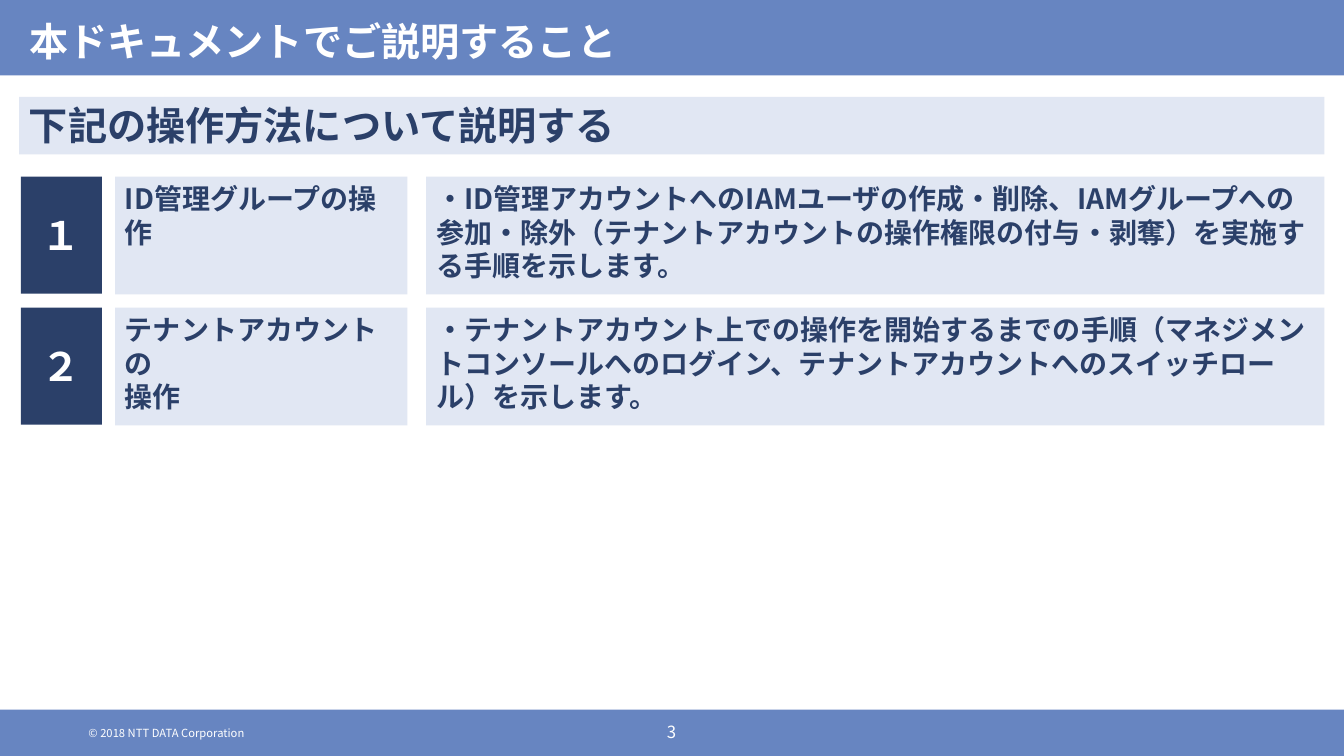
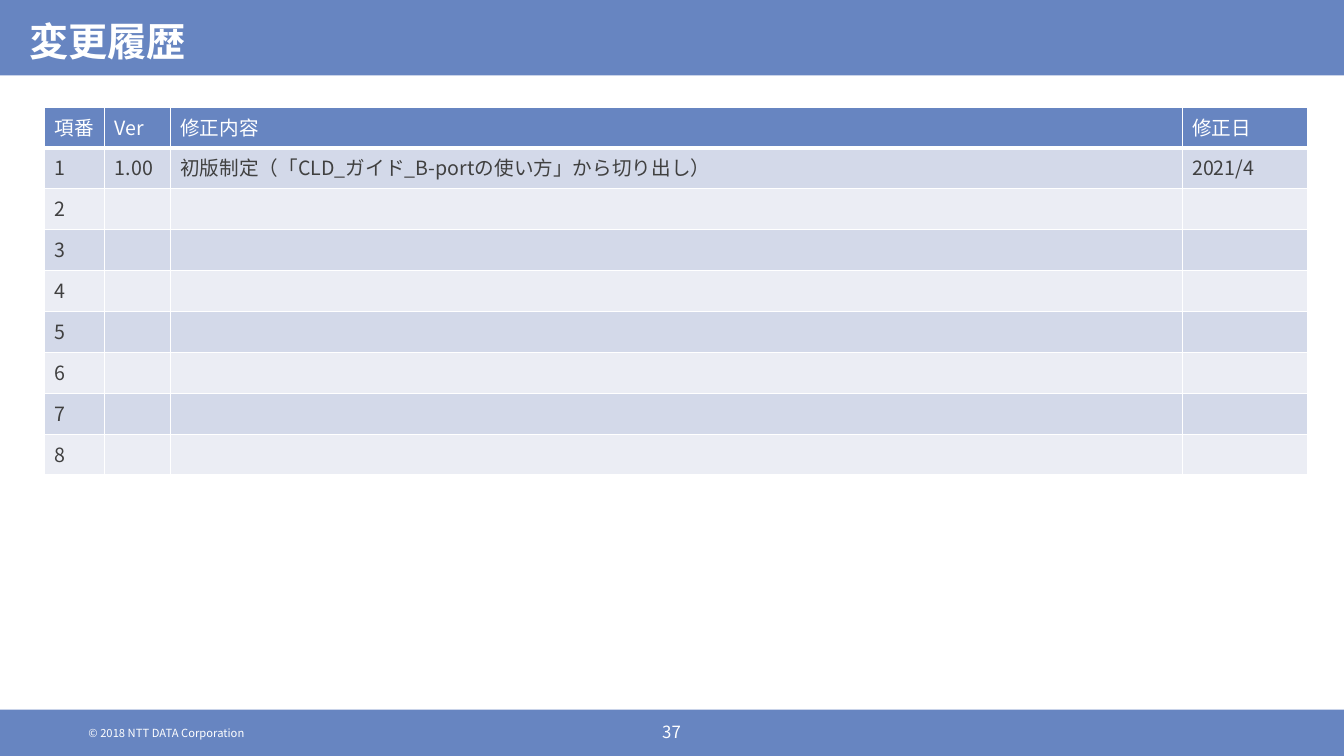
from lxml.etree import SubElement
from pptx import Presentation
from pptx.dml.color import RGBColor
from pptx.enum.shapes import MSO_SHAPE
from pptx.enum.text import MSO_ANCHOR, MSO_AUTO_SIZE, PP_ALIGN
from pptx.oxml.ns import qn
from pptx.util import Cm, Pt

FONT = "Noto Sans CJK JP"
COLORS = {
    "band": "6785C1",
    "navy": "2B4069",
    "pale": "E1E7F3",
    "white": "FFFFFF",
    "body": "404040",
    "odd_row": "D3D9E9",
    "even_row": "EBEDF4",
}
SLIDE_WIDTH, SLIDE_HEIGHT = 33.87, 19.05
TITLE_HEIGHT, FOOTER_TOP = 1.9, 17.88
CONTENT_LEFT, CONTENT_WIDTH = 0.48, 32.9

TOPICS = [
    ("１", ["ID管理グループの操作"],
     "・ID管理アカウントへのIAMユーザの作成・削除、IAMグループへの参加・除外"
     "（テナントアカウントの操作権限の付与・剥奪）を実施する手順を示します。"),
    ("２", ["テナントアカウントの", "操作"],
     "・テナントアカウント上での操作を開始するまでの手順（マネジメントコンソールへの"
     "ログイン、テナントアカウントへのスイッチロール）を示します。"),
]
HISTORY = [
    ("項番", "Ver", "修正内容", "修正日"),
    ("1", "1.00", "初版制定（「CLD_ガイド_B-portの使い方」から切り出し）", "2021/4"),
] + [(str(number), "", "", "") for number in range(2, 9)]
HISTORY_WIDTHS = [1.52, 1.65, 25.5, 3.15]
HISTORY_ROW_HEIGHT = 1.03


def rgb(color):
    """Return the palette colour as an RGBColor."""
    return RGBColor.from_string(COLORS[color])


def write(frame, lines, size, color, bold=False, align=PP_ALIGN.LEFT):
    """Write one paragraph per line with a single run each."""
    for index, line in enumerate(lines):
        paragraph = frame.add_paragraph() if index else frame.paragraphs[0]
        paragraph.alignment = align
        paragraph.space_before = Pt(0)
        run = paragraph.add_run()
        run.text = line
        run.font.size = Pt(size)
        run.font.bold = bold
        run.font.name = FONT
        run.font.color.rgb = rgb(color)
        SubElement(run._r.get_or_add_rPr(), qn("a:ea"), typeface=FONT)


def add_panel(slide, left, top, width, height, fill):
    """Add a flat rectangle without outline."""
    panel = slide.shapes.add_shape(
        MSO_SHAPE.RECTANGLE, Cm(left), Cm(top), Cm(width), Cm(height))
    panel.shadow.inherit = False
    panel.fill.solid()
    panel.fill.fore_color.rgb = rgb(fill)
    panel.line.fill.background()
    panel.text_frame.vertical_anchor = MSO_ANCHOR.TOP
    return panel


def add_footer_text(slide, left, top, width, height, text, size, align=PP_ALIGN.LEFT):
    """Add a white text on the footer band."""
    frame = slide.shapes.add_textbox(
        Cm(left), Cm(top), Cm(width), Cm(height)).text_frame
    frame.word_wrap = True
    frame.margin_top = frame.margin_bottom = 0
    write(frame, [text], size, "white", align=align)


def add_page(deck, heading, page_number):
    """Add a slide with the shared bands, title and footer."""
    slide = deck.slides.add_slide(deck.slide_layouts[5])
    title = slide.shapes.title
    for top, height in ((0, TITLE_HEIGHT), (FOOTER_TOP, SLIDE_HEIGHT - FOOTER_TOP)):
        band = add_panel(slide, 0, top, SLIDE_WIDTH, height, "band")
        title.element.addprevious(band.element)
    title.left, title.top = Cm(CONTENT_LEFT), Cm(0)
    title.width, title.height = Cm(CONTENT_WIDTH), Cm(TITLE_HEIGHT)
    frame = title.text_frame
    frame.auto_size = MSO_AUTO_SIZE.NONE
    frame.vertical_anchor = MSO_ANCHOR.MIDDLE
    frame.margin_top, frame.margin_bottom = Cm(0.3), Cm(0.13)
    write(frame, [heading], 28, "white", bold=True)
    add_footer_text(slide, 1.98, 18.31, 8.74, 0.33, "© 2018 NTT DATA Corporation", 8)
    add_footer_text(slide, 16, 18.19, 1.85, 0.51, page_number, 12, PP_ALIGN.CENTER)
    return slide


def add_topic(slide, top, number, name, description):
    """Add a numbered row with the topic name and its description."""
    badge = add_panel(slide, 0.53, top, 2.04, 2.95, "navy").text_frame
    badge.vertical_anchor = MSO_ANCHOR.MIDDLE
    write(badge, [number], 28, "white", bold=True, align=PP_ALIGN.CENTER)
    for left, width, lines in ((2.9, 7.37, name), (10.74, 22.64, [description])):
        panel = add_panel(slide, left, top, width, 2.97, "pale")
        write(panel.text_frame, lines, 20, "navy", bold=True)


def add_border(cell, side, points):
    """Draw a white border on one side of a cell."""
    border = SubElement(
        cell._tc.get_or_add_tcPr(), qn(f"a:ln{side}"), w=str(Pt(points)))
    fill = SubElement(border, qn("a:solidFill"))
    SubElement(fill, qn("a:srgbClr"), val=COLORS["white"])


def fill_cell(cell, text, row_index):
    """Format a history cell according to its row."""
    is_header = row_index == 0
    widths = {"L": 1, "R": 1, "T": 3 if row_index == 1 else 1, "B": 3 if is_header else 1}
    for side, points in widths.items():
        add_border(cell, side, points)
    cell.fill.solid()
    row_color = "odd_row" if row_index % 2 else "even_row"
    cell.fill.fore_color.rgb = rgb("band" if is_header else row_color)
    if text:
        write(cell.text_frame, [text], 14, "white" if is_header else "body")
    else:
        SubElement(cell.text_frame.paragraphs[0]._p, qn("a:endParaRPr"), sz="1400")


def add_history(slide):
    """Add the table of document changes."""
    history = slide.shapes.add_table(
        len(HISTORY), len(HISTORY_WIDTHS), Cm(1.12), Cm(2.7),
        Cm(sum(HISTORY_WIDTHS)), Cm(HISTORY_ROW_HEIGHT * len(HISTORY))).table
    history.horz_banding = False
    for column, width in zip(history.columns, HISTORY_WIDTHS):
        column.width = Cm(width)
    for row_index, entry in enumerate(HISTORY):
        history.rows[row_index].height = Cm(HISTORY_ROW_HEIGHT)
        for column_index, text in enumerate(entry):
            fill_cell(history.cell(row_index, column_index), text, row_index)


def main():
    """Build and save the deck."""
    deck = Presentation()
    deck.slide_width, deck.slide_height = Cm(SLIDE_WIDTH), Cm(SLIDE_HEIGHT)

    overview = add_page(deck, "本ドキュメントでご説明すること", "3")
    summary = add_panel(overview, CONTENT_LEFT, 2.44, CONTENT_WIDTH, 1.45, "pale")
    write(summary.text_frame, ["下記の操作方法について説明する"], 28, "navy", bold=True)
    for index, topic in enumerate(TOPICS):
        add_topic(overview, 4.45 + 3.3 * index, *topic)

    add_history(add_page(deck, "変更履歴", "37"))
    deck.save("out.pptx")


if __name__ == "__main__":
    main()
